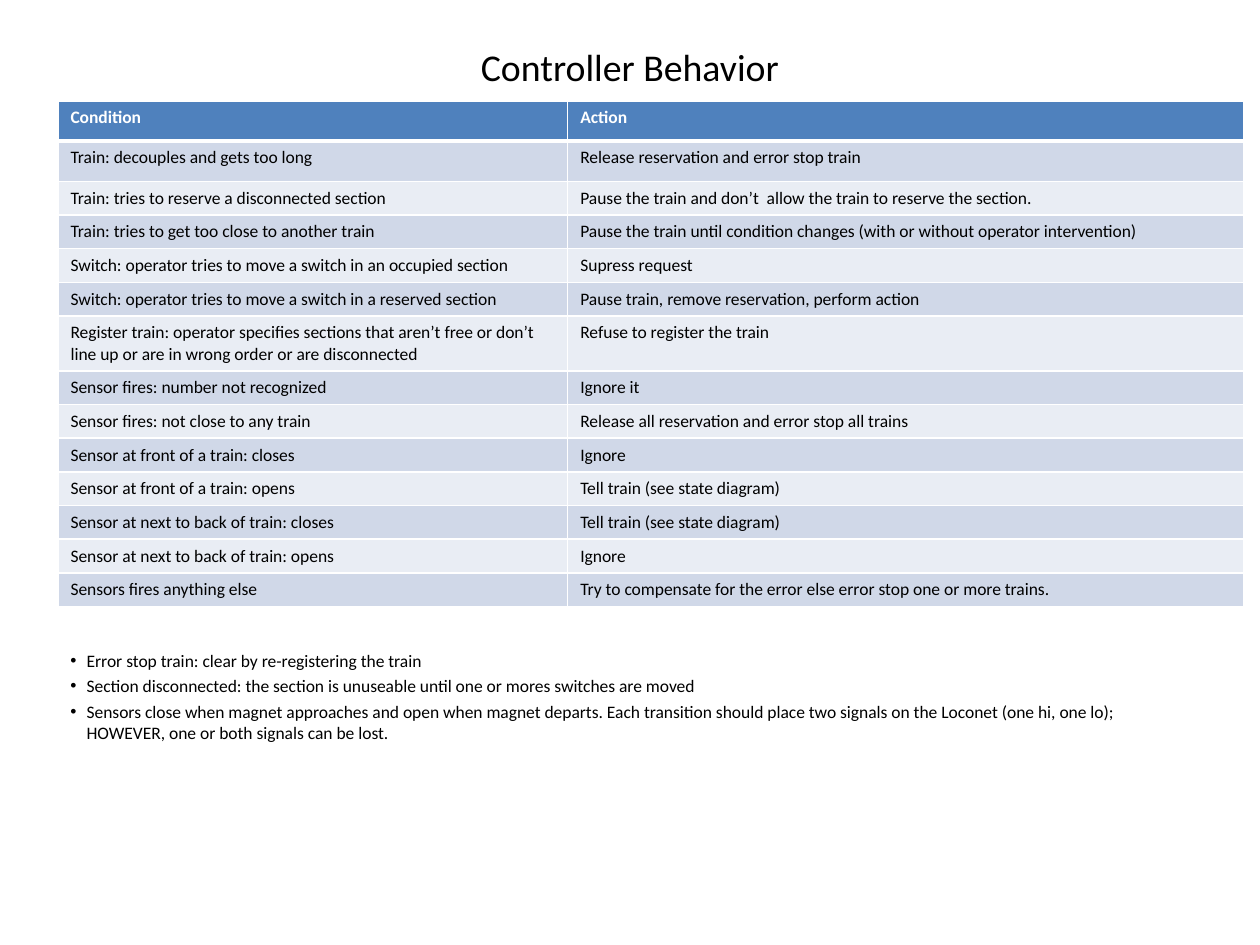
import pptx
import pptx.util
import pptx.dml.color
import pptx.enum.text
import pptx.oxml.ns
import lxml.etree

FONT = "Calibri"
COLORS = {"text": "000000", "header_text": "FFFFFF", "rule": "FFFFFF",
          "header": "4F81BD", "odd": "D0D8E8", "even": "E9EDF4"}

# Slide grid: 100 columns by 75 rows
WIDTH, HEIGHT = pptx.util.Inches(10), pptx.util.Inches(7.5)
COL, ROW = WIDTH / 100, HEIGHT / 75

RULES = [
    ("Condition", "Action"),
    ("Train: decouples and gets too long", "Release reservation and error stop train"),
    ("Train: tries to reserve a disconnected section",
     "Pause the train and don’t  allow the train to reserve the section."),
    ("Train: tries to get too close to another train",
     "Pause the train until condition changes (with or without operator intervention)"),
    ("Switch: operator tries to move a switch in an occupied section", "Supress request"),
    ("Switch: operator tries to move a switch in a reserved section",
     "Pause train, remove reservation, perform action"),
    ("Register train: operator specifies sections that aren’t free or don’t line up "
     "or are in wrong order or are disconnected", "Refuse to register the train"),
    ("Sensor fires: number not recognized", "Ignore it"),
    ("Sensor fires: not close to any train",
     "Release all reservation and error stop all trains"),
    ("Sensor at front of a train: closes", "Ignore"),
    ("Sensor at front of a train: opens", "Tell train (see state diagram)"),
    ("Sensor at next to back of train: closes", "Tell train (see state diagram)"),
    ("Sensor at next to back of train: opens", "Ignore"),
    ("Sensors fires anything else",
     "Try to compensate for the error else error stop one or more trains."),
]

NOTES = [
    "Error stop train: clear by re-registering the train",
    "Section disconnected: the section is unuseable until one or mores switches are moved",
    "Sensors close when magnet approaches and open when magnet departs. Each transition "
    "should place two signals on the Loconet (one hi, one lo); HOWEVER, one or both "
    "signals can be lost.",
]


def grid_box(left, top, width, height):
    return [round(n) for n in (left * COL, top * ROW, width * COL, height * ROW)]


def rgb(key):
    return pptx.dml.color.RGBColor.from_string(COLORS[key])


def style(paragraph, size, color="text", bold=False):
    font = paragraph.font
    font.name, font.size, font.bold = FONT, pptx.util.Pt(size), bold
    font.color.rgb = rgb(color)


def add_sub(parent, tag, **attributes):
    return lxml.etree.SubElement(parent, pptx.oxml.ns.qn(tag), attributes)


def set_borders(cell, top, bottom):
    """Draw white rules round a cell; the widths are in points."""
    properties = cell._tc.get_or_add_tcPr()
    sides = {"a:lnL": 1, "a:lnR": 1, "a:lnT": top, "a:lnB": bottom}
    for side, points in sides.items():
        line = add_sub(properties, side, w=str(pptx.util.Pt(points)))
        add_sub(add_sub(line, "a:solidFill"), "a:srgbClr", val=COLORS["rule"])


def add_title(slide, box, title):
    frame = slide.shapes.add_textbox(*box).text_frame
    frame.word_wrap = True
    frame.vertical_anchor = pptx.enum.text.MSO_ANCHOR.MIDDLE
    heading = frame.paragraphs[0]
    heading.text = title
    heading.alignment = pptx.enum.text.PP_ALIGN.CENTER
    style(heading, 21.6)


def add_rules_table(slide, box, rules):
    table = slide.shapes.add_table(len(rules), 2, *box).table
    for column, share in zip(table.columns, (0.43, 0.57)):
        column.width = round(box[2] * share)
    for r, rule in enumerate(rules):
        # The first two rows are taller; the rest grow to fit their text
        table.rows[r].height = round(ROW * (3.2 if r < 2 else 2))
        fill = "header" if r == 0 else "odd" if r % 2 else "even"
        for c, wording in enumerate(rule):
            cell = table.cell(r, c)
            cell.text = wording
            style(cell.text_frame.paragraphs[0], 10,
                  "text" if r else "header_text", bold=r == 0)
            set_borders(cell, top=3 if r == 1 else 1, bottom=1 if r else 3)
            cell.fill.solid()
            cell.fill.fore_color.rgb = rgb(fill)


def add_notes_list(slide, box, notes):
    frame = slide.shapes.add_textbox(*box).text_frame
    frame.word_wrap = True
    indent = round(COL * 1.3)
    for i, note in enumerate(notes):
        item = frame.add_paragraph() if i else frame.paragraphs[0]
        item.text = note
        if i:
            item.space_before = pptx.util.Pt(2.4)
        properties = item._p.get_or_add_pPr()
        properties.set("marL", str(indent))
        properties.set("indent", str(-indent))
        add_sub(properties, "a:buFont", typeface="Arial")
        add_sub(properties, "a:buChar", char="•")
        style(item, 10)


def main():
    deck = pptx.Presentation()
    deck.slide_width, deck.slide_height = WIDTH, HEIGHT
    slide = deck.slides.add_slide(deck.slide_layouts[6])
    add_title(slide, grid_box(5, 3, 90, 4.5), "Controller Behavior")
    add_rules_table(slide, grid_box(4.6, 8, 94.1, 40), RULES)
    add_notes_list(slide, grid_box(4.6, 51.1, 90, 9.8), NOTES)
    deck.save("out.pptx")


if __name__ == "__main__":
    main()
